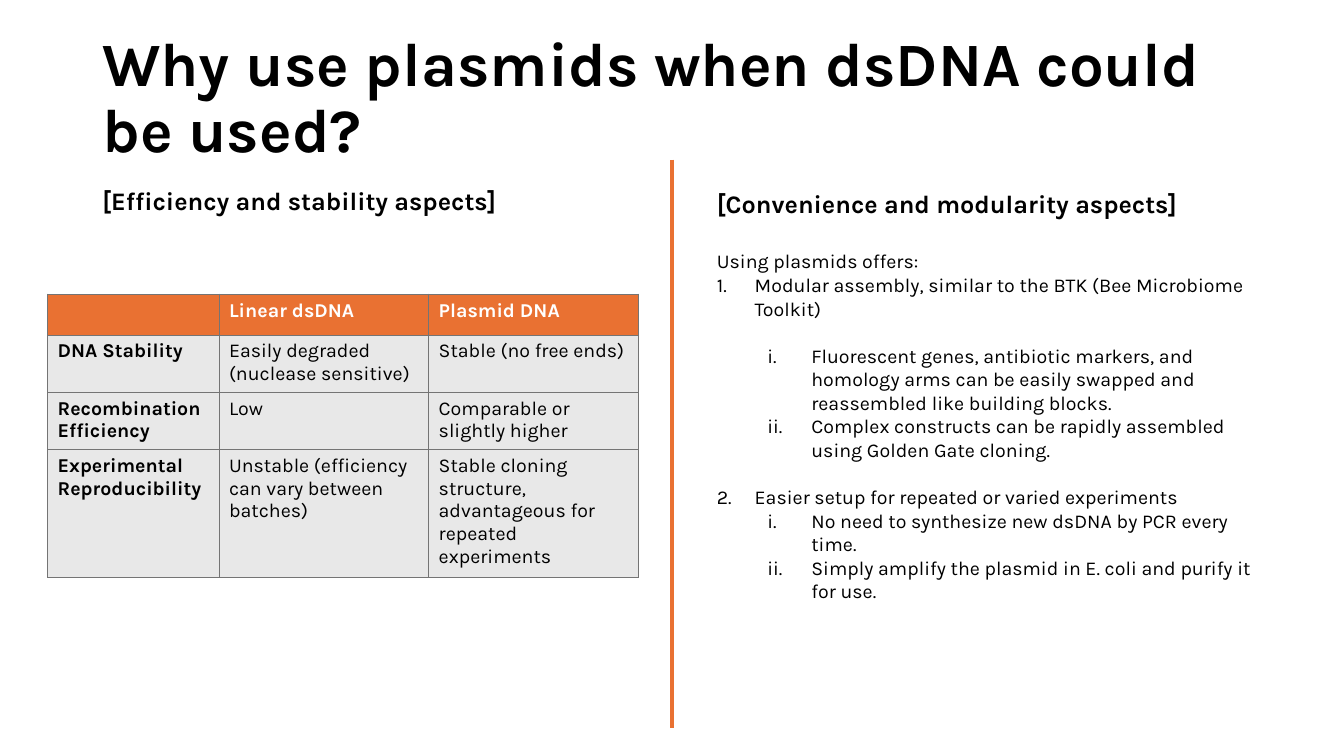
"""Build a slide comparing plasmids with linear dsDNA."""
from lxml import etree
from pptx import Presentation
from pptx.dml.color import RGBColor
from pptx.enum import shapes, text
from pptx.oxml import ns
from pptx.util import Pt

BLACK = RGBColor(0x00, 0x00, 0x00)
WHITE = RGBColor(0xFF, 0xFF, 0xFF)
ORANGE = RGBColor(0xE9, 0x71, 0x32)
PALE = RGBColor(0xE8, 0xE8, 0xE8)
GREY = RGBColor(0x74, 0x74, 0x74)

ITEM = dict(mark="arabicPeriod", left=27, hang=27)
SUB = dict(mark="romanLcPeriod", left=67.5, hang=31.5, level=1)

POINTS = [
    ("[Convenience and modularity aspects]", dict(size=18, bold=True, after=22)),
    ("Using plasmids offers:", {}),
    ("Modular assembly, similar to the BTK (Bee Microbiome Toolkit)", dict(ITEM, after=17)),
    ("Fluorescent genes, antibiotic markers, and homology arms can be easily "
     "swapped and reassembled like building blocks.", SUB),
    ("Complex constructs can be rapidly assembled using Golden Gate cloning.",
     dict(SUB, after=17)),
    ("Easier setup for repeated or varied experiments", ITEM),
    ("No need to synthesize new dsDNA by PCR every time.", SUB),
    ("Simply amplify the plasmid in E. coli and purify it for use.", SUB),
]

ROWS = [
    ("", "Linear dsDNA", "Plasmid DNA"),
    ("DNA Stability", "Easily degraded (nuclease sensitive)", "Stable (no free ends)"),
    ("Recombination Efficiency", "Low", "Comparable or slightly higher"),
    ("Experimental Reproducibility", "Unstable (efficiency can vary between batches)",
     "Stable cloning structure, advantageous for repeated experiments"),
]


def write(para, words, size=14, bold=False, color=BLACK, font="Karla",
          space=None, after=0, mark=None, left=0, hang=0, level=0):
    para.level = level
    para.space_before = Pt(0)
    para.space_after = Pt(after)
    if space:
        para.line_spacing = space
    if mark:
        props = para._p.get_or_add_pPr()
        props.set("marL", str(Pt(left)))
        props.set("indent", str(-Pt(hang)))
        etree.SubElement(props, ns.qn("a:buAutoNum"), type=mark)
    if words:
        para.add_run().text = words
    for face in [para.font] + [run.font for run in para.runs]:
        face.name, face.size, face.bold = font, Pt(size), bold
        face.color.rgb = color


class Deck:
    def __init__(self, accent, edge):
        self.accent, self.edge = accent, edge
        self.prs = Presentation()
        self.prs.slide_width, self.prs.slide_height = Pt(960), Pt(540)
        self.slide = self.prs.slides.add_slide(self.prs.slide_layouts[6])

    def box(self, x, y, w, h, paras, anchor=text.MSO_ANCHOR.TOP):
        frame = self.slide.shapes.add_textbox(Pt(x), Pt(y), Pt(w), Pt(h)).text_frame
        frame.word_wrap = True
        frame.vertical_anchor = anchor
        for i, (words, style) in enumerate(paras):
            write(frame.add_paragraph() if i else frame.paragraphs[0], words, **style)

    def line(self, x1, y1, x2, y2, width):
        rule = self.slide.shapes.add_connector(
            shapes.MSO_CONNECTOR.STRAIGHT, Pt(x1), Pt(y1), Pt(x2), Pt(y2))
        rule.line.color.rgb = self.accent
        rule.line.width = Pt(width)
        etree.SubElement(rule._element.spPr, ns.qn("a:effectLst"))

    def border(self, cell, width):
        props = cell._tc.get_or_add_tcPr()
        for i, side in enumerate("LRTB"):
            edge = etree.Element(ns.qn("a:ln" + side), w=str(Pt(width)))
            fill = etree.SubElement(edge, ns.qn("a:solidFill"))
            etree.SubElement(fill, ns.qn("a:srgbClr"), val=str(self.edge))
            props.insert(i, edge)

    def table(self, x, y, widths, height, rows):
        grid = self.slide.shapes.add_table(
            len(rows), len(widths), Pt(x), Pt(y),
            Pt(sum(widths)), Pt(height * len(rows))).table
        for col, width in zip(grid.columns, widths):
            col.width = Pt(width)
        for r, row in enumerate(rows):
            grid.rows[r].height = Pt(height)
            for c, words in enumerate(row):
                cell = grid.cell(r, c)
                cell.fill.solid()
                cell.fill.fore_color.rgb = PALE if r else self.accent
                self.border(cell, 0.5)
                write(cell.text_frame.paragraphs[0], words,
                      bold=r == 0 or c == 0, color=BLACK if r else WHITE)


def main():
    deck = Deck(ORANGE, GREY)
    deck.box(66, 19, 828, 104,
             [("Why use plasmids when dsDNA could be used?",
               dict(size=44, bold=True, space=0.9))], text.MSO_ANCHOR.MIDDLE)
    deck.box(66, 131, 381, 343,
             [("[Efficiency and stability aspects]",
               dict(size=18, bold=True, space=0.9))])
    deck.line(480, 114, 480, 520, 2.25)
    deck.box(505, 131, 402, 305, POINTS)
    deck.table(34, 210, [122.4, 149.8, 149.8], 29.2, ROWS)
    deck.prs.save("out.pptx")


if __name__ == "__main__":
    main()
